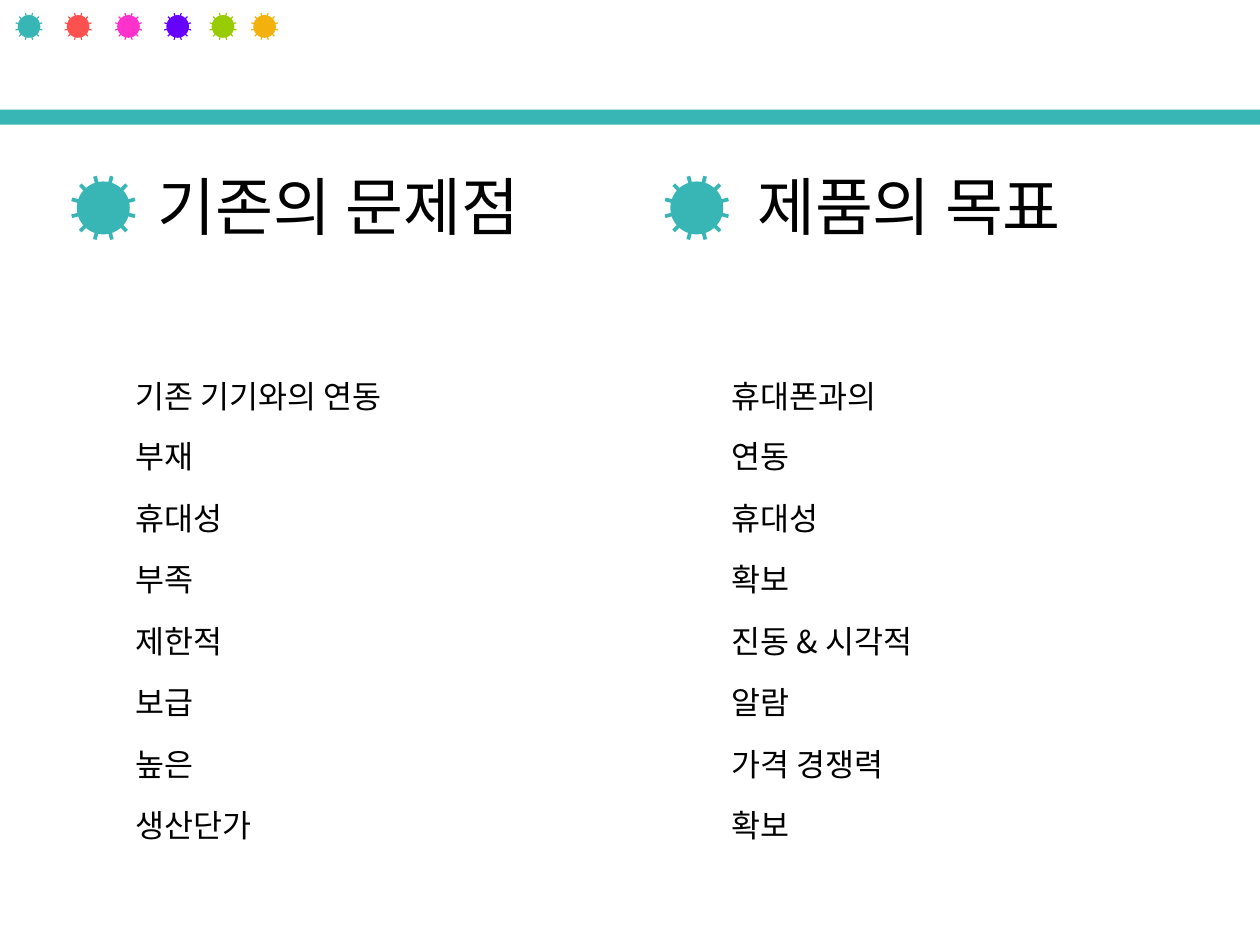
from dataclasses import dataclass

from lxml import etree
from pptx import Presentation
from pptx import util as u
from pptx.dml.color import RGBColor
from pptx.enum import shapes, text
from pptx.oxml.ns import qn


@dataclass(frozen=True)
class Theme:
    font: str = "Noto Sans CJK KR"
    teal: str = "38B6B6"
    red: str = "FF5050"
    pink: str = "FF33CC"
    violet: str = "6600FF"
    green: str = "99CC00"
    amber: str = "F3B10D"
    ink: str = "000000"
    heading_size: int = 36
    item_size: int = 18
    item_spacing: float = 1.6


class SlideBuilder:
    def __init__(self, slide, theme):
        self.slide = slide
        self.theme = theme

    def solid(self, kind, left, top, width, height, color, parent=None):
        owner = parent or self.slide
        shape = owner.shapes.add_shape(
            kind, u.Inches(left), u.Inches(top), u.Inches(width), u.Inches(height))
        shape.shadow.inherit = False
        shape.fill.solid()
        shape.fill.fore_color.rgb = RGBColor.from_string(color)
        shape.line.fill.background()
        return shape

    def burst(self, center_x, center_y, disc, spoke_length, spoke_width, color):
        """A disc with six bars through its centre, 30 degrees apart."""
        group = self.slide.shapes.add_group_shape()
        self.solid(shapes.MSO_SHAPE.OVAL, center_x - disc / 2, center_y - disc / 2,
                   disc, disc, color, group)
        for angle in range(15, 180, 30):
            spoke = self.solid(
                shapes.MSO_SHAPE.RECTANGLE, center_x - spoke_width / 2,
                center_y - spoke_length / 2, spoke_width, spoke_length, color, group)
            spoke.rotation = angle

    def label(self, words, left, top, width, height, size, spacing=None):
        box = self.slide.shapes.add_textbox(
            u.Inches(left), u.Inches(top), u.Inches(width), u.Inches(height))
        frame = box.text_frame
        frame.word_wrap = True
        frame.auto_size = text.MSO_AUTO_SIZE.SHAPE_TO_FIT_TEXT
        paragraph = frame.paragraphs[0]
        paragraph.text = words
        paragraph.line_spacing = spacing
        font = paragraph.font
        font.size = u.Pt(size)
        font.color.rgb = RGBColor.from_string(self.theme.ink)
        font.name = self.theme.font
        # Korean letters take the East Asian typeface
        etree.SubElement(font._rPr, qn("a:ea"), typeface=self.theme.font)


def main():
    theme = Theme()
    deck = Presentation()
    deck.slide_width, deck.slide_height = u.Inches(10), u.Inches(7.5)
    builder = SlideBuilder(deck.slides.add_slide(deck.slide_layouts[6]), theme)

    # Header: bar and row of small bursts
    builder.solid(shapes.MSO_SHAPE.RECTANGLE, 0, 0.87, 10, 0.12, theme.teal)
    header_bursts = [(0.23, theme.teal), (0.62, theme.red), (1.02, theme.pink),
                     (1.41, theme.violet), (1.77, theme.green), (2.1, theme.amber)]
    for center_x, color in header_bursts:
        builder.burst(center_x, 0.21, 0.18, 0.22, 0.01, color)

    # Columns: burst centre, heading (words, left, width), items (words, width)
    columns = [
        (0.82, ("기존의 문제점", 1.15, 3.38), 0.98,
         [("기존 기기와의 연동 부재", 2.64), ("휴대성 부족", 1.38),
          ("제한적 보급", 1.38), ("높은 생산단가", 1.6)]),
        (5.53, ("제품의 목표", 5.91, 2.92), 5.71,
         [("휴대폰과의 연동", 1.82), ("휴대성 확보", 1.38),
          ("진동 & 시각적 알람", 2.14), ("가격 경쟁력 확보", 1.9)]),
    ]
    first_item_top, item_pitch = 2.76, 0.975
    for burst_x, (heading, heading_left, heading_width), item_left, items in columns:
        builder.burst(burst_x, 1.65, 0.42, 0.52, 0.03, theme.teal)
        builder.label(heading, heading_left, 1.28, heading_width, 0.71,
                      theme.heading_size)
        for row, (item, width) in enumerate(items):
            builder.label(item, item_left, first_item_top + row * item_pitch,
                          width, 0.59, theme.item_size, theme.item_spacing)

    deck.save("out.pptx")


if __name__ == "__main__":
    main()
